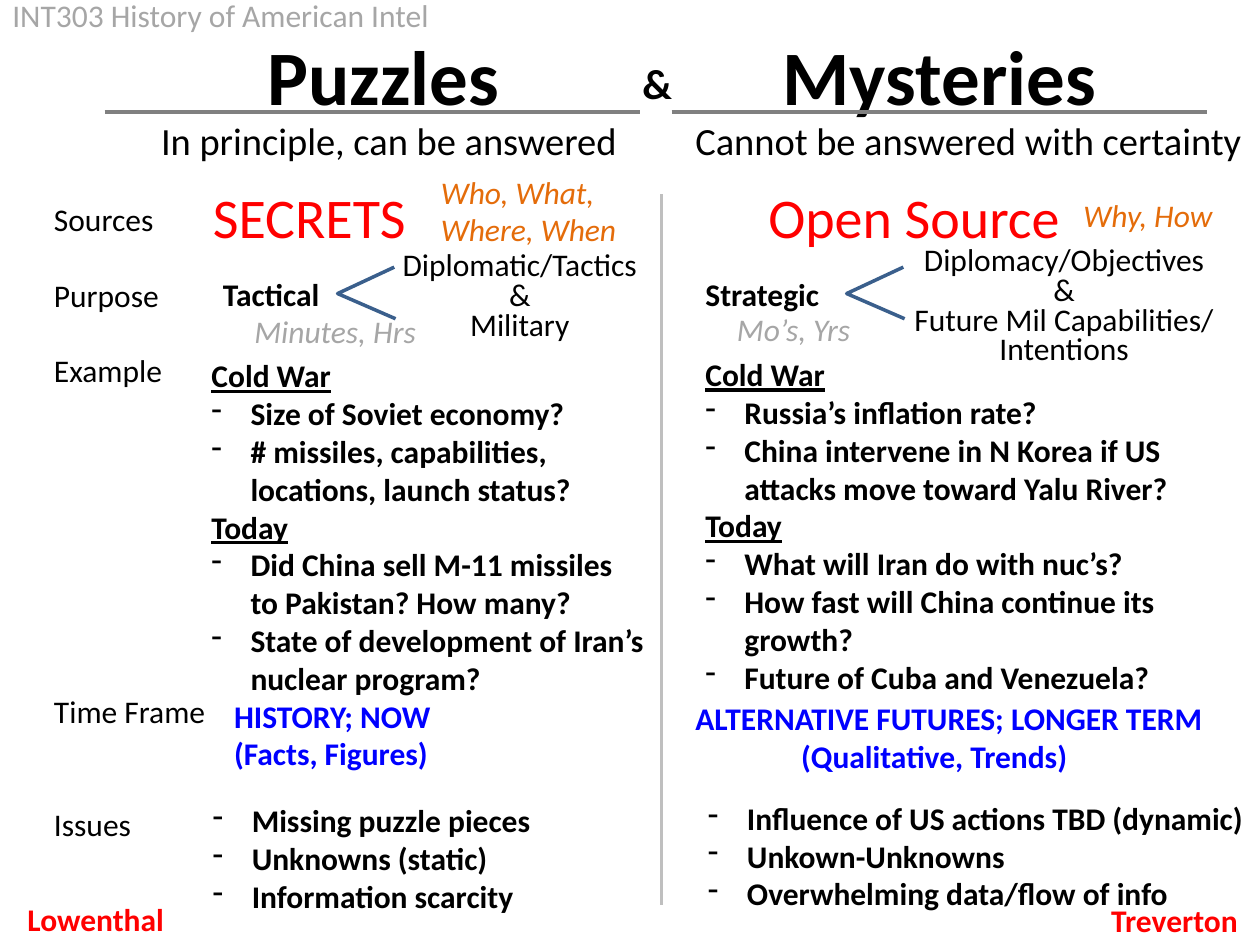
from dataclasses import dataclass, replace

from lxml import etree
from pptx import Presentation
from pptx.dml.color import RGBColor
from pptx.enum import shapes, text
from pptx.oxml import ns
from pptx.util import Inches, Pt

BLACK = RGBColor(0, 0, 0)
RED = RGBColor(0xFF, 0, 0)
BLUE = RGBColor(0, 0, 0xFF)
ORANGE = RGBColor(0xE4, 0x6C, 0x0A)
PALE_GRAY = RGBColor(0xA6, 0xA6, 0xA6)
RULE_GRAY = RGBColor(0x80, 0x80, 0x80)
DIVIDER_GRAY = RGBColor(0xBF, 0xBF, 0xBF)
BRANCH_BLUE = RGBColor(0x3A, 0x5F, 0x8C)

CENTER = text.PP_ALIGN.CENTER
LINE_HEIGHT = 21.6  # points taken by one 18 pt line
HANGING = 0.31


@dataclass(frozen=True)
class Style:
    size: int = 18
    color: RGBColor = BLACK
    bold: bool = False
    italic: bool = False
    underline: bool = False


PLAIN = Style()
BOLD = Style(bold=True)
HEADING = replace(BOLD, underline=True)
TITLE = Style(44, bold=True)
SOURCE = Style(32, RED)
SUMMARY = Style(22)
QUESTION = Style(color=ORANGE, italic=True)
DURATION = Style(color=PALE_GRAY, italic=True)
TIME_FRAME = Style(color=BLUE, bold=True)
AUTHOR = Style(color=RED, bold=True)


def place(shape, left, top, width, height):
    shape.left, shape.top = Inches(left), Inches(top)
    shape.width, shape.height = Inches(width), Inches(height)


def next_para(box):
    """Return the empty first paragraph, or a new one after existing text."""
    frame = box.text_frame
    first = frame.paragraphs[0]
    return frame.add_paragraph() if first.runs else first


def add_para(box, words, style=PLAIN, align=None):
    """Add a paragraph; a newline in words becomes a line break."""
    para = next_para(box)
    para.alignment = align
    for index, line in enumerate(words.split("\n")):
        if index:
            para.add_line_break()
        span = para.add_run()
        span.text = line
        font = span.font
        font.name, font.size = "Calibri", Pt(style.size)
        font.color.rgb = style.color
        font.bold, font.italic = style.bold, style.italic
        font.underline = style.underline
    return para


def add_bullet(box, words):
    para = add_para(box, words, BOLD)
    props = para._p.get_or_add_pPr()
    props.set("marL", str(Inches(HANGING)))
    props.set("indent", str(-Inches(HANGING)))
    etree.SubElement(props, ns.qn("a:buChar")).set("char", "-")


def add_box(page, place_at, wrap=False):
    box = page.shapes.add_textbox(*map(Inches, place_at))
    box.text_frame.word_wrap = wrap
    box.text_frame.auto_size = text.MSO_AUTO_SIZE.SHAPE_TO_FIT_TEXT
    return box


def add_label(page, place_at, words, style=PLAIN, wrap=False):
    add_para(add_box(page, place_at, wrap), words, style)


def add_heading(box, place_at, words, style):
    """Fill a placeholder or text box with one centred line."""
    place(box, *place_at)
    box.text_frame.word_wrap = True
    box.text_frame.auto_size = text.MSO_AUTO_SIZE.NONE
    if style is TITLE:
        box.text_frame.vertical_anchor = text.MSO_ANCHOR.MIDDLE
    add_para(box, words, style, CENTER).space_before = Pt(0)


def add_rule(page, start, end, color):
    rule = page.shapes.add_connector(
        shapes.MSO_CONNECTOR.STRAIGHT, *map(Inches, start + end))
    rule.line.color.rgb, rule.line.width = color, Pt(2.25)
    etree.SubElement(rule._element.spPr, ns.qn("a:effectLst"))


def add_branch(page, left):
    """Draw the open angle that links a purpose to its two fields."""
    top = 2.12
    builder = page.shapes.build_freeform(Inches(left + 0.45), Inches(top))
    builder.add_line_segments(
        [(Inches(left), Inches(top + 0.21)),
         (Inches(left + 0.46), Inches(top + 0.41))], close=False)
    branch = builder.convert_to_shape()
    branch.shadow.inherit = False
    branch.fill.background()
    branch.line.color.rgb, branch.line.width = BRANCH_BLUE, Pt(2)


def add_fields(page, place_at, lines):
    box = add_box(page, place_at)
    for line in lines:
        add_para(box, line, align=CENTER).line_spacing = Pt(17)


def add_list(page, place_at, sections, wrap=False):
    """Add bullets grouped under headings; an empty heading is left out."""
    box = add_box(page, place_at, wrap)
    for heading, items in sections.items():
        if heading:
            add_para(box, heading, HEADING)
        for item in items:
            add_bullet(box, item)


def add_row_names(page):
    box = add_box(page, (0.33, 1.54, 1.42, 5.25))
    rows = [("Sources", 0), ("Purpose", 1), ("Example", 1),
            ("Time Frame", 8), ("Issues", 2)]
    for name, lines_above in rows:
        add_para(box, name).space_before = Pt(lines_above * LINE_HEIGHT)


def add_time_frame(page, place_at, period, kind, indent=0):
    box = add_box(page, place_at)
    add_para(box, period, TIME_FRAME)
    para = add_para(box, kind, TIME_FRAME)
    para._p.get_or_add_pPr().set("marL", str(Inches(indent)))


def add_puzzles(page):
    title, subtitle = page.placeholders
    add_heading(title, (0.92, -0.21, 4.25, 1.61), "Puzzles", TITLE)
    add_heading(subtitle, (1.29, 1.4, 2.33, 0.67), "SECRETS", SOURCE)
    add_label(page, (1.18, 0.88, 3.85, 0.47), "In principle, can be answered", SUMMARY)
    add_label(page, (3.4, 1.32, 1.71, 0.71), "Who, What,\nWhere, When", QUESTION, True)
    add_label(page, (1.67, 2.13, 0.98, 0.4), "Tactical", BOLD)
    add_label(page, (1.92, 2.43, 1.56, 0.4), "Minutes, Hrs", DURATION, True)
    add_branch(page, 2.68)
    add_fields(page, (3.08, 1.96, 2.09, 0.82), ["Diplomatic/Tactics", "&", "Military"])
    add_list(page, (1.58, 2.78, 3.72, 2.83), {
        "Cold War": ["Size of Soviet economy?",
                     "# missiles, capabilities,\nlocations, launch status?"],
        "Today": ["Did China sell M-11 missiles\nto Pakistan? How many?",
                  "State of development of Iran’s\nnuclear program?"]})
    add_time_frame(page, (1.76, 5.48, 1.83, 0.71), "HISTORY; NOW", "(Facts, Figures)")
    add_list(page, (1.59, 6.31, 2.8, 1.01), {
        "": ["Missing puzzle pieces", "Unknowns (static)", "Information scarcity"]})
    add_label(page, (0.12, 7.09, 1.3, 0.4), "Lowenthal", AUTHOR)


def add_mysteries(page):
    for place_at, words, style in [
            ((5.33, -0.21, 4.25, 1.61), "Mysteries", TITLE),
            ((5.93, 1.4, 2.65, 0.67), "Open Source", SOURCE)]:
        add_heading(add_box(page, place_at), place_at, words, style)
    add_label(page, (5.42, 0.88, 4.58, 0.47), "Cannot be answered with certainty", SUMMARY)
    add_label(page, (8.5, 1.51, 1.33, 0.4), "Why, How", QUESTION, True)
    add_label(page, (5.5, 2.13, 1.11, 0.4), "Strategic", BOLD)
    add_label(page, (5.75, 2.41, 1.33, 0.4), "Mo’s, Yrs", DURATION, True)
    add_branch(page, 6.72)
    add_fields(page, (7.14, 1.92, 2.61, 1.05),
               ["Diplomacy/Objectives", "&", "Future Mil Capabilities/\nIntentions"])
    add_list(page, (5.5, 2.77, 4.33, 2.83), {
        "Cold War": ["Russia’s inflation rate?",
                     "China intervene in N Korea if US\nattacks move toward Yalu River?"],
        "Today": ["What will Iran do with nuc’s?",
                  "How fast will China continue its growth?",
                  "Future of Cuba and Venezuela?"]}, wrap=True)
    add_time_frame(page, (5.42, 5.5, 4.26, 0.71), "ALTERNATIVE FUTURES; LONGER TERM",
                   "(Qualitative, Trends)", indent=0.84)
    add_list(page, (5.52, 6.29, 4.49, 1.01), {
        "": ["Influence of US actions TBD (dynamic)", "Unkown-Unknowns",
             "Overwhelming data/flow of info"]})
    add_label(page, (8.72, 7.1, 1.21, 0.4), "Treverton", AUTHOR)


def main():
    deck = Presentation()
    deck.slide_width, deck.slide_height = Inches(10), Inches(7.5)
    page = deck.slides.add_slide(deck.slide_layouts[0])
    add_label(page, (0, -0.08, 3.54, 0.4), "INT303 History of American Intel",
              Style(color=PALE_GRAY))
    add_row_names(page)
    add_puzzles(page)
    add_label(page, (5, 0.41, 0.44, 0.5), "&", Style(24, bold=True))
    add_mysteries(page)
    for left in (0.83, 5.33):
        add_rule(page, (left, 0.89), (left + 4.25, 0.89), RULE_GRAY)
    add_rule(page, (5.25, 1.54), (5.25, 7.18), DIVIDER_GRAY)
    deck.save("out.pptx")


if __name__ == "__main__":
    main()
